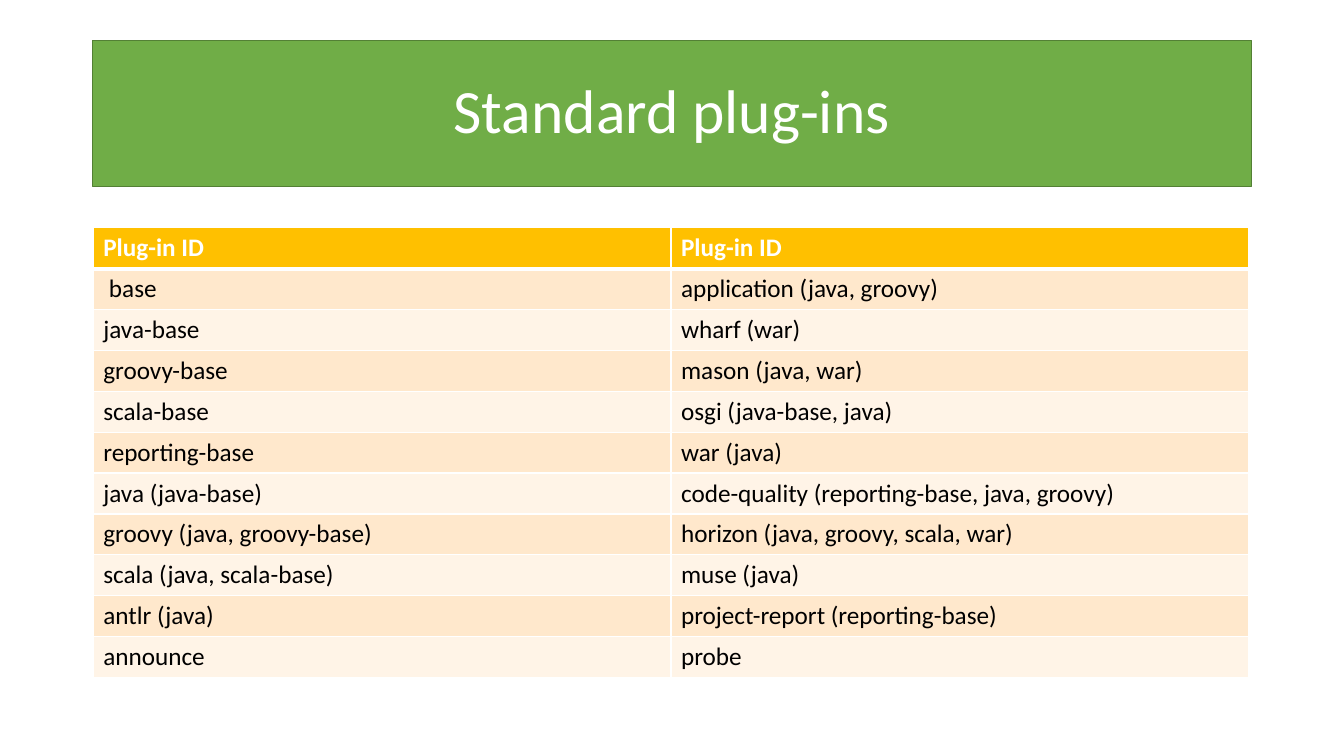
import pptx
import pptx.util
import pptx.dml.color
import pptx.enum.text
import pptx.oxml
import pptx.oxml.ns
from dataclasses import dataclass

Cm, Pt = pptx.util.Cm, pptx.util.Pt


@dataclass(frozen=True)
class Theme:
    font: str = "Calibri"
    white: str = "FFFFFF"
    black: str = "000000"
    green: str = "70AD47"
    edge: str = "538035"
    gold: str = "FFC000"
    bands: tuple = ("FFE8CC", "FFF4E7")
    title: int = 44
    body: int = 18
    thin: int = 1
    thick: int = 3


THEME = Theme()

ROWS = [
    ("Plug-in ID", "Plug-in ID"),
    ("\u00a0base", "application (java, groovy)"),
    ("java-base", "wharf (war)"),
    ("groovy-base", "mason (java, war)"),
    ("scala-base", "osgi (java-base, java)"),
    ("reporting-base", "war (java)"),
    ("java (java-base)", "code-quality (reporting-base, java, groovy)"),
    ("groovy (java, groovy-base)", "horizon (java, groovy, scala, war)"),
    ("scala (java, scala-base)", "muse (java)"),
    ("antlr (java)", "project-report (reporting-base)"),
    ("announce", "probe"),
]


def tint(code):
    return pptx.dml.color.RGBColor.from_string(code)


def paint(fill, code):
    fill.solid()
    fill.fore_color.rgb = tint(code)


def add_run(para, text, size, code, bold=False):
    run = para.add_run()
    run.text = text
    font = run.font
    font.name, font.size, font.bold = THEME.font, Pt(size), bold
    font.color.rgb = tint(code)


def add_title(slide, text):
    title = slide.shapes.title
    title.left, title.top = Cm(2.33), Cm(1.02)
    title.width, title.height = Cm(29.21), Cm(3.68)
    paint(title.fill, THEME.green)
    title.line.color.rgb = tint(THEME.edge)
    title.line.width = Pt(THEME.thin)
    frame = title.text_frame
    frame.word_wrap = True
    frame.vertical_anchor = pptx.enum.text.MSO_ANCHOR.MIDDLE
    para = frame.paragraphs[0]
    para.alignment = pptx.enum.text.PP_ALIGN.CENTER
    para.line_spacing = 0.9
    add_run(para, text, THEME.title, THEME.white)


def add_edge(cell, side, width):
    space = pptx.oxml.ns.nsdecls("a")
    line = pptx.oxml.parse_xml(
        f'<a:ln{side} {space} w="{Pt(width)}"><a:solidFill>'
        f'<a:srgbClr val="{THEME.white}"/></a:solidFill></a:ln{side}>')
    cell._tc.get_or_add_tcPr().append(line)


def fill_cell(cell, text, row):
    head = row == 0
    # Borders come before the fill; the rule under the header is thick
    heavy = {(0, "B"), (1, "T")}
    for side in "LRTB":
        add_edge(cell, side, THEME.thick if (row, side) in heavy else THEME.thin)
    paint(cell.fill, THEME.gold if head else THEME.bands[(row - 1) % 2])
    add_run(cell.text_frame.paragraphs[0], text, THEME.body,
            THEME.white if head else THEME.black, head)


def add_grid(slide, rows):
    wide, high = Cm(14.56), Cm(1.03)
    count = len(rows[0])
    table = slide.shapes.add_table(
        len(rows), count, Cm(2.35), Cm(5.74),
        wide * count, high * len(rows)).table
    for col in table.columns:
        col.width = wide
    for row, texts in enumerate(rows):
        table.rows[row].height = high
        for col, text in enumerate(texts):
            fill_cell(table.cell(row, col), text, row)


def main():
    deck = pptx.Presentation()
    deck.slide_width, deck.slide_height = Cm(33.87), Cm(19.05)
    # Title Only layout
    slide = deck.slides.add_slide(deck.slide_layouts[5])
    add_title(slide, "Standard plug-ins")
    # Plug-in table
    add_grid(slide, ROWS)
    deck.save("out.pptx")


main()
